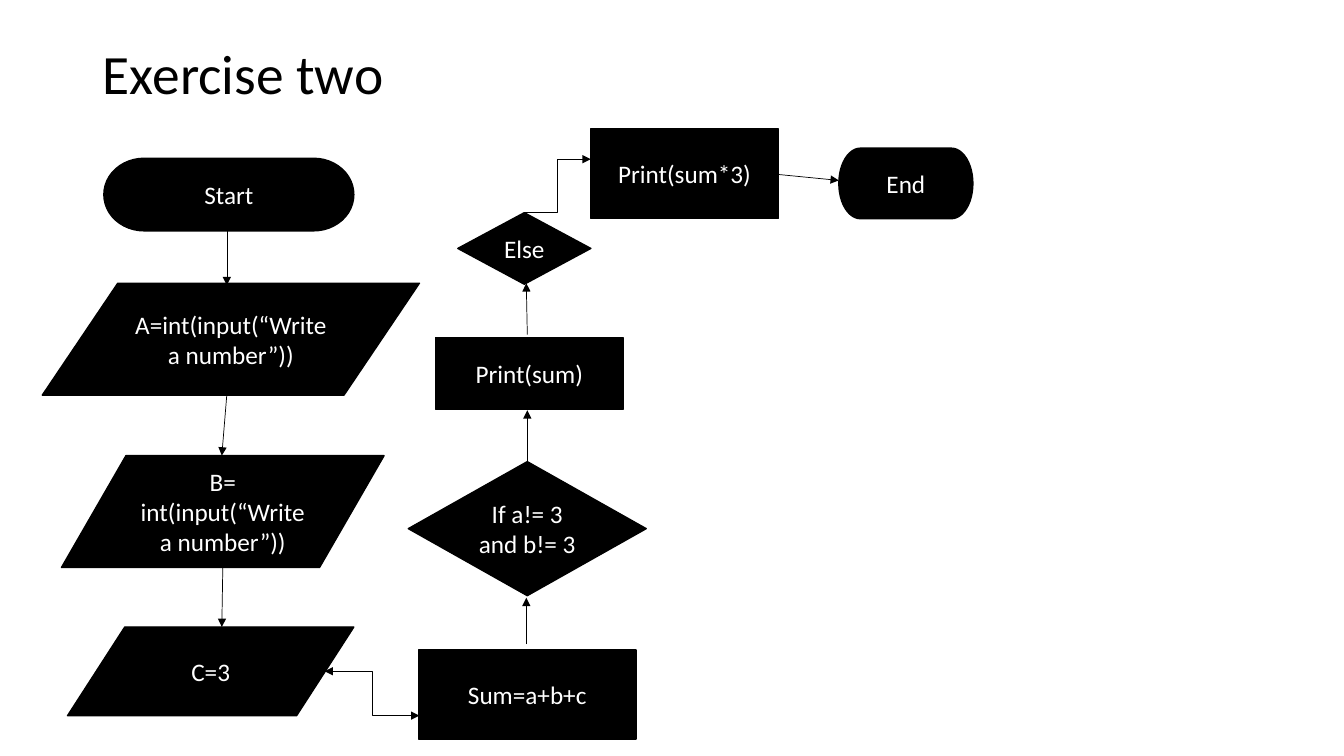
import pptx
import pptx.dml.color
import pptx.enum.shapes
import pptx.enum.text
import pptx.oxml
import pptx.oxml.ns
import pptx.util

Inches = pptx.util.Inches
Pt = pptx.util.Pt
Shape = pptx.enum.shapes.MSO_SHAPE
Connector = pptx.enum.shapes.MSO_CONNECTOR
Align = pptx.enum.text.PP_ALIGN
Anchor = pptx.enum.text.MSO_ANCHOR

BLACK = "000000"
WHITE = "FFFFFF"

STEPS = [
    ("Start", Shape.FLOWCHART_TERMINATOR, 0.63, 0.37, 2.48, 0.72),
    ("A=int(input(“Write a number”))", Shape.FLOWCHART_DATA, 0.02, 1.61, 3.74, 1.11),
    ("B= int(input(“Write a number”))", Shape.FLOWCHART_DATA, 0.21, 3.32, 3.2, 1.11),
    ("C=3", Shape.FLOWCHART_DATA, 0.27, 5.02, 2.84, 0.88),
    ("Sum=a+b+c", Shape.FLOWCHART_PROCESS, 3.75, 5.25, 2.16, 0.88),
    ("If a!= 3 and b!= 3", Shape.FLOWCHART_DECISION, 3.65, 3.38, 2.36, 1.33),
    ("Print(sum)", Shape.FLOWCHART_PROCESS, 3.92, 2.15, 1.86, 0.71),
    ("Else", Shape.FLOWCHART_DECISION, 4.14, 0.91, 1.32, 0.71),
    ("Print(sum*3)", Shape.FLOWCHART_PROCESS, 5.46, 0.08, 1.86, 0.89),
    ("End", Shape.FLOWCHART_TERMINATOR, 7.92, 0.27, 1.33, 0.7),
]

ARROWS = [
    (Connector.STRAIGHT, 1.85, 1.08, 1.85, 1.63, ["tail"]),
    (Connector.STRAIGHT, 1.85, 2.71, 1.8, 3.32, ["tail"]),
    (Connector.STRAIGHT, 1.81, 4.43, 1.8, 5.02, ["tail"]),
    (Connector.ELBOW, 2.82, 5.46, 3.76, 5.9, ["head", "tail"]),
    (Connector.STRAIGHT, 4.82, 5.19, 4.82, 4.73, ["tail"]),
    (Connector.STRAIGHT, 4.83, 3.38, 4.83, 2.87, ["tail"]),
    (Connector.STRAIGHT, 4.83, 2.12, 4.82, 1.61, ["tail"]),
    (Connector.ELBOW, 4.8, 0.91, 5.46, 0.38, ["tail"]),
    (Connector.STRAIGHT, 7.31, 0.53, 7.92, 0.59, ["tail"]),
]


def set_color(color_format, value):
    color_format.rgb = pptx.dml.color.RGBColor.from_string(value)


def format_paragraph(paragraph, size, color, alignment):
    paragraph.alignment = alignment
    paragraph.font.name = "Calibri"
    paragraph.font.size = Pt(size)
    set_color(paragraph.font.color, color)


def format_line(line, width):
    line.width = Pt(width)
    line.fill.solid()
    set_color(line.fill.fore_color, BLACK)


def add_title(slide, text, left, top, width, height):
    title = slide.shapes.title
    title.left, title.top = Inches(left), Inches(top)
    title.width, title.height = Inches(width), Inches(height)
    title.text_frame.text = text
    title.text_frame.vertical_anchor = Anchor.MIDDLE
    paragraph = title.text_frame.paragraphs[0]
    paragraph.line_spacing = 0.9
    format_paragraph(paragraph, 39.6, BLACK, Align.LEFT)


def add_step(slide, text, kind, left, top, width, height):
    shape = slide.shapes.add_shape(
        kind, Inches(left), Inches(top), Inches(width), Inches(height))
    shape.shadow.inherit = False
    shape.fill.solid()
    set_color(shape.fill.fore_color, BLACK)
    format_line(shape.line, 1)
    shape.text_frame.text = text
    shape.text_frame.word_wrap = True
    shape.text_frame.vertical_anchor = Anchor.MIDDLE
    format_paragraph(shape.text_frame.paragraphs[0], 18, WHITE, Align.CENTER)


def add_arrow(slide, kind, start_x, start_y, end_x, end_y, ends):
    connector = slide.shapes.add_connector(
        kind, Inches(start_x), Inches(start_y), Inches(end_x), Inches(end_y))
    format_line(connector.line, 0.5)
    properties = connector.element.spPr
    line = properties.find(pptx.oxml.ns.qn("a:ln"))
    for end in ends:
        arrowhead = pptx.oxml.parse_xml(
            f'<a:{end}End {pptx.oxml.ns.nsdecls("a")} type="triangle"/>')
        line.append(arrowhead)
    properties.append(pptx.oxml.parse_xml(
        f'<a:effectLst {pptx.oxml.ns.nsdecls("a")}/>'))


def add_flowchart(slide, left, top):
    for text, kind, x, y, width, height in STEPS:
        add_step(slide, text, kind, left + x, top + y, width, height)
    for kind, start_x, start_y, end_x, end_y, ends in ARROWS:
        add_arrow(slide, kind, left + start_x, top + start_y,
                  left + end_x, top + end_y, ends)


presentation = pptx.Presentation()
presentation.slide_width = Inches(13.33)
presentation.slide_height = Inches(7.5)
slide = presentation.slides.add_slide(presentation.slide_layouts[5])
add_title(slide, "Exercise two", 0.92, 0.4, 11.5, 0.72)
add_flowchart(slide, 0.4, 1.2)
presentation.save("out.pptx")
